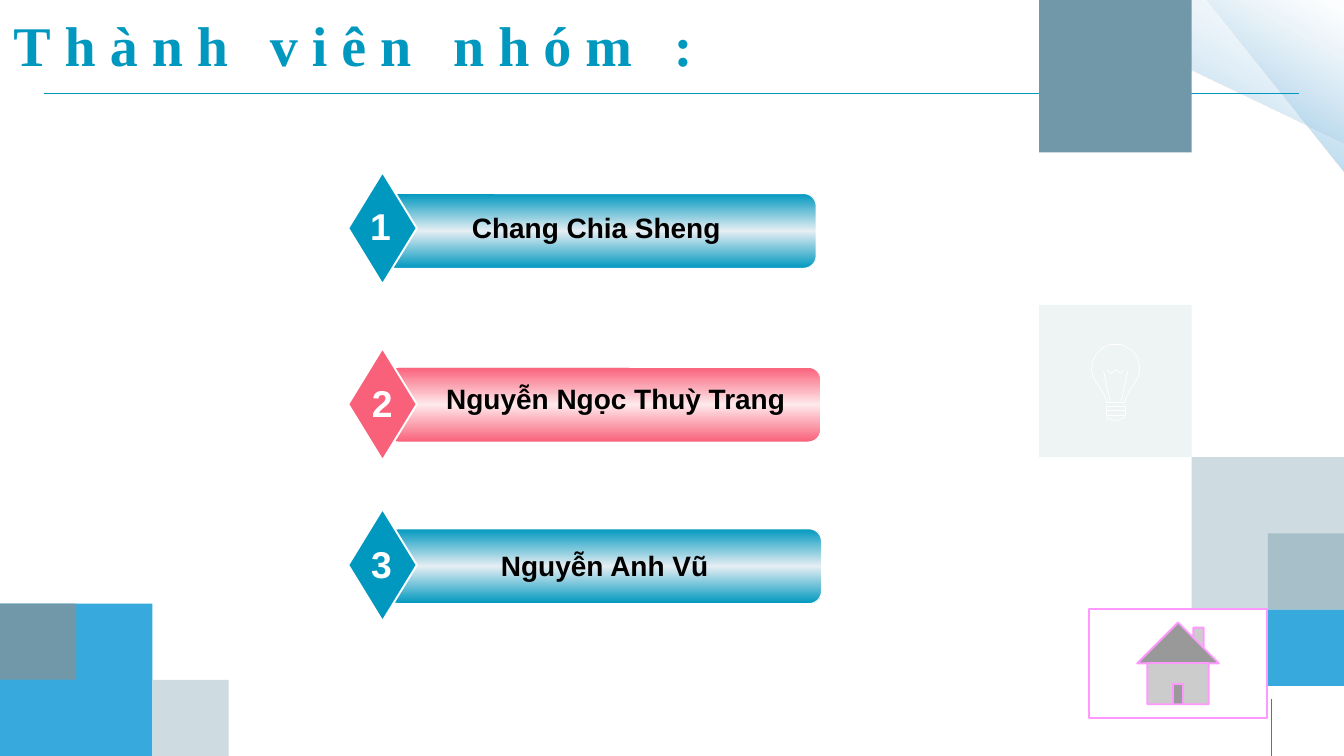
from lxml import etree
from pptx import Presentation
from pptx.dml.color import RGBColor
from pptx.enum.shapes import MSO_CONNECTOR, MSO_SHAPE as Preset
from pptx.enum.text import MSO_ANCHOR as Anchor, MSO_AUTO_SIZE as AutoSize, PP_ALIGN as Align
from pptx.oxml.ns import qn
from pptx.util import Inches, Pt

WIDTH, HEIGHT, CELL = 20, 11.25, 1.134
COLS, ROWS = WIDTH / CELL, HEIGHT / CELL
BULB_UNIT = 0.0088

COLORS = {
    "teal": "0098BF", "teal_light": "E6EEF3", "rose": "F9617A", "rose_light": "FEE9EB",
    "mist": "CEDBE0", "slate": "7198A9", "sky": "37A9DD", "white": "FFFFFF",
    "black": "000000", "pink": "FF99FF", "ray": "8FC8E8", "ray_mid": "A4CEE9", "ray_end": "DEEDF6",
}
RAY = [(0, "ray", 100), (50, "ray_mid", 44), (100, "ray_end", 0)]


def rgb(name):
    return RGBColor.from_string(COLORS[name])


def mirrored(half):
    return half + [(-x, y) for x, y in reversed(half)]


class SlideGrid:
    def __init__(self, slide, body_font="Arial"):
        self.slide = slide
        self.shapes = slide.shapes
        self.body_font = body_font

    def cells(self, *lengths):
        return [Inches(length * CELL) for length in lengths]

    def finish(self, shape, line, width):
        shape.shadow.inherit = False
        if line:
            shape.line.color.rgb = rgb(line)
            shape.line.width = Pt(width)
        else:
            shape.line.fill.background()

    def block(self, preset, box, fill, line=None, width=1, opacity=100):
        shape = self.shapes.add_shape(preset, *self.cells(*box))
        shape.fill.solid()
        shape.fill.fore_color.rgb = rgb(fill)
        if opacity < 100:
            color = shape.fill._xPr.find(qn("a:solidFill"))[0]
            etree.SubElement(color, qn("a:alpha"), val=str(opacity * 1000))
        self.finish(shape, line, width)
        return shape

    def gradient(self, preset, box, stops, angle, line=None, width=1):
        shape = self.block(preset, box, stops[0][1], line, width)
        solid = shape.fill._xPr.find(qn("a:solidFill"))
        grad = etree.Element(qn("a:gradFill"), rotWithShape="1")
        stop_list = etree.SubElement(grad, qn("a:gsLst"))
        for position, name, opacity in stops:
            stop = etree.SubElement(stop_list, qn("a:gs"), pos=str(position * 1000))
            color = etree.SubElement(stop, qn("a:srgbClr"), val=COLORS[name])
            if opacity < 100:
                etree.SubElement(color, qn("a:alpha"), val=str(opacity * 1000))
        etree.SubElement(grad, qn("a:lin"), ang=str(angle * 60000), scaled="0")
        solid.getparent().replace(solid, grad)
        return shape

    def rule(self, start, end, color, width=1):
        line = self.shapes.add_connector(MSO_CONNECTOR.STRAIGHT, *self.cells(*start, *end))
        line.line.color.rgb = rgb(color)
        line.line.width = Pt(width)
        etree.SubElement(line._element.spPr, qn("a:effectLst"))

    def outline(self, points, origin, unit, color, width, close=False):
        builder = self.shapes.build_freeform(*points[0], scale=Inches(unit * CELL))
        builder.add_line_segments(points[1:], close=close)
        shape = builder.convert_to_shape(*self.cells(*origin))
        shape.fill.background()
        self.finish(shape, color, width)

    def text(self, words, box, size, color, font=None, align=Align.CENTER, wrap=True):
        textbox = self.shapes.add_textbox(*self.cells(*box))
        frame = textbox.text_frame
        frame.text = words
        frame.word_wrap = wrap
        frame.auto_size = AutoSize.SHAPE_TO_FIT_TEXT
        paragraph = frame.paragraphs[0]
        paragraph.alignment = align
        style = paragraph.runs[0].font
        style.name = font or self.body_font
        style.size = Pt(size)
        style.bold = True
        style.color.rgb = rgb(color)
        return textbox

    def title(self, words, box):
        frame = self.text(words, box, 60, "teal", "Times New Roman", Align.LEFT).text_frame
        frame.auto_size = AutoSize.NONE
        frame.vertical_anchor = Anchor.BOTTOM
        frame.margin_left = frame.margin_right = Inches(0.2)
        frame.margin_top = frame.margin_bottom = Inches(0.2)
        frame.paragraphs[0].runs[0].font._element.set("spc", "1500")


def draw_background(grid):
    rays = [(COLS - 1.8, 0, 1.8, 2.27), (13.7, 0, 3.95, 1.88)]
    for box in rays:
        grid.gradient(Preset.RIGHT_TRIANGLE, box, RAY, 120).rotation = 180

    grid.rule((0.58, 1.23), (17.05, 1.23), "teal")
    grid.rule((16.68, ROWS), (16.68, 9.17), "teal")

    squares = [
        (COLS - 4, 4, 2, "mist", 33),
        (COLS - 2, 6, 2, "mist", 100),
        (COLS - 4, 0, 2, "slate", 100),
        (0, ROWS - 2, 2, "sky", 100),
        (2, ROWS - 1, 1, "mist", 100),
        (0, ROWS - 2, 1, "slate", 100),
        (COLS - 1, 8, 1, "sky", 100),
        (COLS - 1, 7, 1, "slate", 41),
    ]
    for left, top, side, color, opacity in squares:
        grid.block(Preset.RECTANGLE, (left, top, side, side), color, opacity=opacity)


def draw_bulb(grid):
    center = (14.64, 4.52)
    glass = [
        (14, 86), (15, 82), (16, 79), (17, 75), (19, 72), (21, 69), (22, 66), (26, 61),
        (28, 58), (30, 55), (31, 53), (33, 49), (34, 46), (35, 43), (36, 38), (36, 36),
        (35, 32), (35, 28), (34, 25), (33, 22), (31, 18), (30, 15), (27, 13), (25, 10),
        (23, 8), (20, 6), (17, 4), (14, 2), (10, 1), (7, 0), (3, 0), (0, 0),
    ]
    filament = [(-13, 38), (-7, 43), (-1, 38), (0, 37)]
    support = [(18, 39), (14, 59), (8, 86)]
    cap = [(14, 106), (14, 108), (13, 110), (11, 110), (1, 114), (0, 114)]
    bands = [[(14, top), (14, bottom)] for top, bottom in ((99, 106), (93, 99))]

    for half in [*bands, cap]:
        grid.outline(mirrored(half), center, BULB_UNIT, "white", 0.75, close=True)
    for strand in [mirrored(glass), mirrored(filament), support, [(-x, y) for x, y in support]]:
        grid.outline(strand, center, BULB_UNIT, "white", 0.75)
    neck_y, neck_half = center[1] + 87 * BULB_UNIT, 14 * BULB_UNIT
    grid.rule((center[0] - neck_half, neck_y), (center[0] + neck_half, neck_y), "white", 0.75)


def draw_members(grid):
    members = [
        ("Chang Chia Sheng", "teal", (5, 2.54), 2.26, (4.77, 2.62), (5.57, 2.72, 4.51)),
        ("Nguyễn Ngọc Thuỳ Trang", "rose", (5.06, 4.82), 4.57, (4.79, 4.95), (5.56, 4.96, 5.04)),
        ("Nguyễn Anh Vũ", "teal", (5.07, 6.94), 6.68, (4.78, 7.06), (5.68, 7.15, 4.51)),
    ]
    for number, (name, color, bar, diamond_top, digit, label) in enumerate(members, 1):
        stops = [(0, color, 100), (50, f"{color}_light", 100), (100, color, 100)]
        grid.gradient(Preset.ROUNDED_RECTANGLE, (*bar, 5.71, 0.98), stops, 90, "white")
        grid.block(Preset.DIAMOND, (4.57, diamond_top, 0.9, 1.47), color, "white", 2)
        grid.text(str(number), (*digit, 0.45, 0.68), 40, "white", wrap=False)
        grid.text(name, (*label, 0.54), 30, "black")


def main():
    deck = Presentation()
    deck.slide_width, deck.slide_height = Inches(WIDTH), Inches(HEIGHT)
    grid = SlideGrid(deck.slides.add_slide(deck.slide_layouts[6]))
    draw_background(grid)
    draw_bulb(grid)
    grid.title("Thành viên nhóm :", (0, 0, 9.77, 1.19))
    draw_members(grid)
    grid.block(Preset.ACTION_BUTTON_HOME, (14.29, 7.99, 2.34, 1.43), "white", "pink", 2)
    deck.save("out.pptx")


if __name__ == "__main__":
    main()
